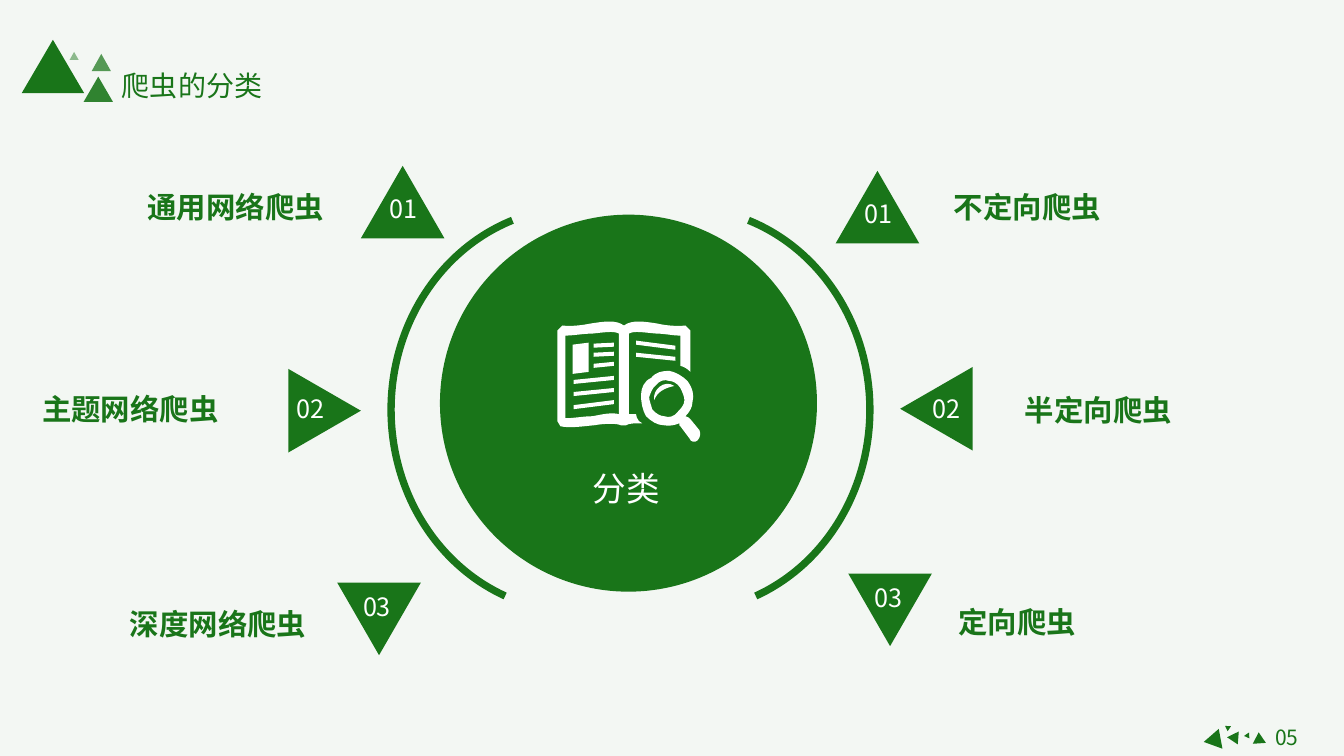
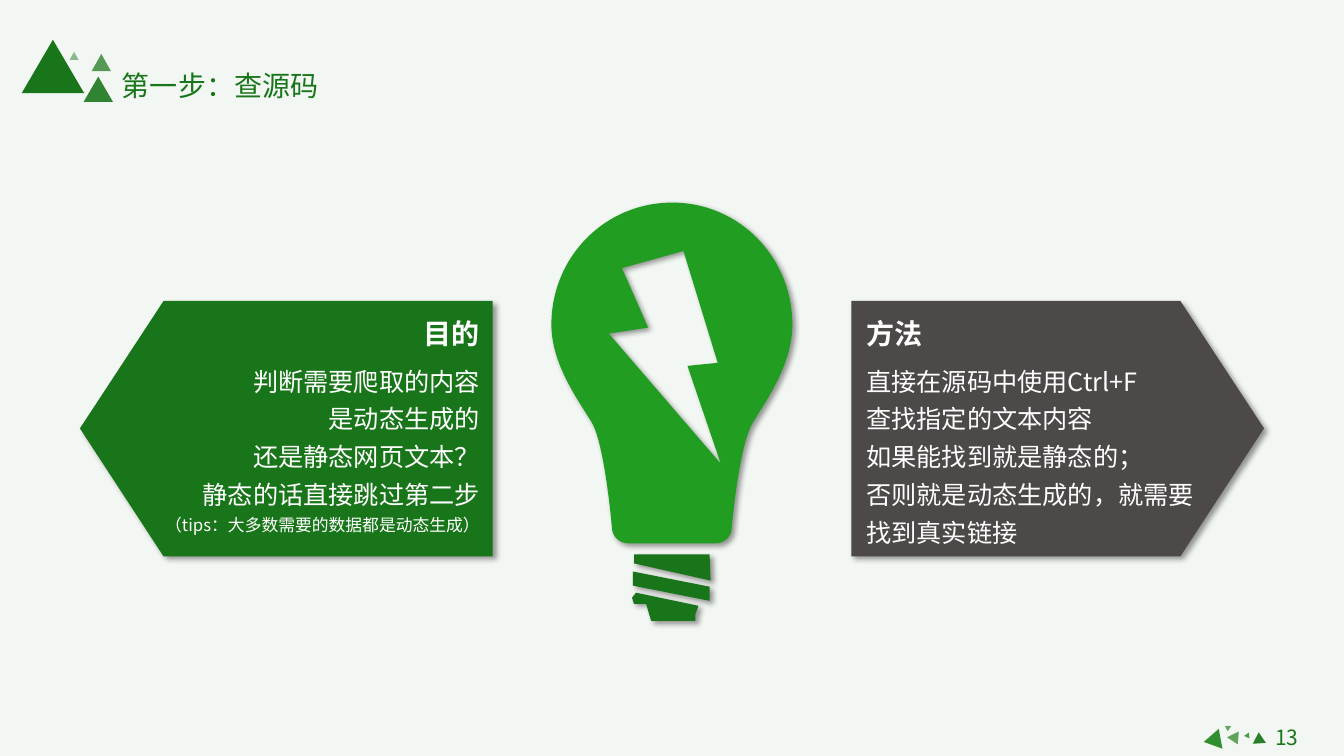
from lxml.etree import SubElement
from pptx import Presentation
from pptx.dml.color import RGBColor
from pptx.enum.shapes import MSO_SHAPE as Preset
from pptx.enum.text import MSO_ANCHOR as Anchor, MSO_AUTO_SIZE as AutoSize, PP_ALIGN as Align
from pptx.oxml.ns import qn
from pptx.util import Inches, Pt

CELL = Inches(0.1)
COLUMNS, ROWS = 133.33, 75
FONT = "Noto Sans CJK SC"
GREEN = RGBColor(0x19, 0x75, 0x19)
BRIGHT_GREEN = RGBColor(0x21, 0x9E, 0x21)
PALE_GREEN = RGBColor(0xF3, 0xF7, 0xF3)
SAGE = RGBColor(0x5E, 0xA4, 0x5A)
LEAF = RGBColor(0x30, 0x90, 0x30)
FOREST = RGBColor(0x2B, 0x7E, 0x2A)
MOSS = RGBColor(0x55, 0x95, 0x51)
GRAY = RGBColor(0x4C, 0x49, 0x48)
WHITE = RGBColor(0xFF, 0xFF, 0xFF)

HEADER_TRIANGLES = [
    (2.15, 3.95, 6.2, 5.3, 100), (8.3, 7.6, 2.9, 2.5, 89),
    (6.9, 5.15, 0.9, 0.8, 47), (9.1, 5.35, 1.9, 1.7, 72),
]
FOOTER_TRIANGLES = [
    (121.9, 72.8, 1.3, 1.1, 153.9), (119.25, 72.6, 2, 1.7, 259.5),
    (124.25, 72.65, 1.3, 1.1, 356.2), (121.45, 71.9, 0.6, 0.5, 303.5),
    (123.5, 72.8, 0.6, 0.5, 145.8),
]
NUMBER_OFFSETS = {0: (0.1, -1.4), 90: (-1.4, -2.25), 180: (-0.2, -3.2), 270: (1, -2)}
CATEGORIES = [
    ("01", 39.95, 20.05, 0, "通用网络爬虫", 13.65, 18.3),
    ("02", 32.2, 40.75, 90, "主题网络爬虫", 3.2, 38.3),
    ("03", 37.6, 61.4, 180, "深度网络爬虫", 11.9, 59.6),
    ("01", 87.05, 20.55, 0, "不定向爬虫", 93.65, 18.3),
    ("02", 92.9, 40.55, 270, "半定向爬虫", 100.7, 38.4),
    ("03", 88.3, 60.5, 180, "定向爬虫", 94.1, 59.45),
]
BOOK_COVER = [
    (55.8, 32.3), (56.6, 32.4, 57.6, 32.3, 58.6, 32.1),
    (59.9, 31.9, 61.1, 31.7, 61.9, 32.3), (62.7, 31.7, 63.9, 31.9, 65.2, 32.1),
    (66, 32.3, 67.2, 32.4, 68, 32.3), (68.5, 32.8), (68.5, 36.9),
    (68.2, 36.6, 67.9, 36.4, 67.5, 36.3), (67.5, 33.3),
    (66.7, 33.3, 65.9, 33.1, 65.1, 33.1), (63.9, 33, 62.9, 32.8, 62.4, 33.1),
    (62.4, 41.1), (62.6, 41.1, 62.7, 41.1, 63.1, 41.1),
    (63.1, 41.3, 63.2, 41.5, 63.4, 41.8), (63.6, 41.8, 63.6, 42, 63.7, 42),
    (62.9, 42, 62.4, 42, 62.1, 42.2), (61.6, 42.2),
    (61.2, 42, 60.1, 42, 58.9, 42.2), (57.8, 42.3, 56.6, 42.5, 55.6, 42.3),
    (55.3, 41.8), (55.3, 32.8),
]
LEFT_PAGE = [
    (58.8, 33.1), (57.9, 33.1, 56.9, 33.3, 56.1, 33.3), (56.1, 41.5),
    (56.9, 41.5, 57.9, 41.3, 58.8, 41.3), (59.8, 41.1, 60.7, 40.9, 61.4, 41.1),
    (61.4, 33.1), (60.9, 32.8, 59.8, 33, 58.8, 33.1),
]
PAGE_BLOCK = [(56.8, 34.2), (56.8, 37.1), (58.4, 36.9), (58.4, 34)]
TEXT_BARS = [
    (63.1, 35, 67, 35.4), (63.1, 33.8, 67, 34.3),
    (56.9, 40.2, 60.9, 39.7), (56.9, 38.9, 60.9, 38.5), (56.9, 37.7, 60.9, 37.3),
    (58.9, 36.1, 60.9, 35.9), (58.9, 35, 60.9, 34.9), (58.9, 34.1, 60.9, 34),
]
MAGNIFIER = [
    (64.6, 37.5), (63.9, 37.8, 63.6, 38.5, 63.6, 39.2),
    (63.6, 39.9, 63.7, 40.6, 64.1, 41.3), (64.6, 41.8, 65.2, 42.2, 65.9, 42.2),
    (66.4, 42.3, 66.9, 42.2, 67.4, 42), (67.4, 42.2, 67.4, 42.3, 67.5, 42.3),
    (68.4, 43.5), (68.5, 43.9, 69, 43.9, 69.2, 43.7),
    (69.5, 43.4, 69.5, 43, 69.4, 42.7), (68.5, 41.6),
    (68.4, 41.5, 68.2, 41.3, 68, 41.3), (68.4, 40.9, 68.7, 40.4, 68.7, 39.9),
    (68.9, 39.2, 68.7, 38.5, 68.2, 37.8), (67.7, 37.3, 67, 36.9, 66.4, 36.8),
    (65.7, 36.8, 65.1, 36.9, 64.6, 37.5),
]
LENS = [
    (66.4, 37.8), (65.9, 37.6, 65.4, 37.8, 65.1, 38.2),
    (64.7, 38.5, 64.6, 38.9, 64.4, 39.4), (64.4, 39.7, 64.6, 40.2, 64.7, 40.6),
    (65.1, 41.1, 65.6, 41.3, 65.9, 41.3), (66.4, 41.5, 66.9, 41.3, 67.2, 40.9),
    (67.5, 40.6, 67.9, 40.2, 67.9, 39.7), (67.9, 39.4, 67.7, 38.9, 67.5, 38.5),
    (67.2, 38, 66.7, 37.8, 66.4, 37.8),
]
LENS_GLINT = [
    (64.9, 39.7), (65.2, 38.9, 65.9, 38.5, 66.9, 38.3),
    (65.9, 37.6, 64.7, 38.7, 64.9, 39.7),
]
BULB_GLASS = [
    (66.7, 20.1), (60, 20.1, 54.7, 25.5, 54.7, 32.2),
    (54.7, 36.1, 57.3, 39.6, 58.7, 41.9), (60, 44.1, 60.7, 52.3, 60.7, 52.3),
    (60.7, 53.2, 61.4, 53.9, 62.4, 53.9), (71, 53.9),
    (71.9, 53.9, 72.6, 53.2, 72.6, 52.3), (72.6, 52.3, 73.3, 44.1, 74.7, 41.9),
    (76.1, 39.6, 78.6, 36.1, 78.6, 32.2), (78.6, 25.5, 73.3, 20.1, 66.7, 20.1),
]
LIGHTNING = [
    (60.4, 33.1), (64.3, 32.5), (61.7, 26.6), (67.8, 24.9),
    (71.2, 36), (68.2, 36.3), (71.5, 46),
]
BULB_BASE = [
    [(62.9, 55), (70.4, 55), (70.5, 57.6), (62.9, 55.9)],
    [(70.4, 59.6), (70.4, 58.2), (62.8, 56.7), (62.8, 58.1)],
    [(63.1, 58.8), (69.3, 60.1), (69, 60.9), (69, 61.6), (64.6, 61.6),
     (64.1, 59.9), (62.9, 59.9), (62.7, 59.3)],
]
METHOD_PANEL = [(117.1, 29.85), (84.45, 29.85), (84.45, 55.2), (117.1, 55.2), (125.4, 42.5)]
PURPOSE_LINES = [
    ("判断需要爬取的内容", 18), ("是动态生成的", 18), ("还是静态网页文本？", 18),
    ("静态的话直接跳过第二步", 18), ("（tips：大多数需要的数据都是动态生成）", 12),
]
METHOD_LINES = [
    ("直接在源码中使用Ctrl+F", 18), ("查找指定的文本内容", 18),
    ("如果能找到就是静态的；", 18), ("否则就是动态生成的，就需要找到真实链接", 18),
]


def cells(*counts):
    """Turn counts of grid cells into lengths."""
    return [round(count * CELL) for count in counts]


def paint(shape, color, opacity=100, shadowed=False):
    """Fill a shape without an outline, with optional opacity and shadow."""
    shape.fill.solid()
    shape.fill.fore_color.rgb = color
    shape.line.fill.background()
    shape.shadow.inherit = False
    properties = shape._element.spPr
    if opacity < 100:
        tone = properties.find(qn("a:solidFill")).find(qn("a:srgbClr"))
        SubElement(tone, qn("a:alpha"), val=str(opacity * 1000))
    if shadowed:
        shadow = SubElement(properties.find(qn("a:effectLst")), qn("a:outerShdw"),
                            blurRad=str(Pt(4)), dist=str(Pt(3)), dir="2700000",
                            algn="tl", rotWithShape="0")
        black = SubElement(shadow, qn("a:srgbClr"), val="000000")
        SubElement(black, qn("a:alpha"), val="40000")


def add_triangle(slide, left, top, width, height, color=GREEN, rotation=0, opacity=100):
    """Add a filled triangle."""
    triangle = slide.shapes.add_shape(Preset.ISOSCELES_TRIANGLE,
                                      *cells(left, top, width, height))
    triangle.rotation = rotation
    paint(triangle, color, opacity)


def bend(outline, segments):
    """Turn the lines of an outline into cubic curves where a segment has handles."""
    lines = list(outline._element.spPr.iter(qn("a:lnTo")))
    for line, segment in zip(lines, segments):
        if len(segment) == 2:
            continue
        line.tag = qn("a:cubicBezTo")
        line.remove(line[0])
        for x, y in zip(cells(*segment[::2]), cells(*segment[1::2])):
            SubElement(line, qn("a:pt"), x=str(x - outline.left), y=str(y - outline.top))


def add_outline(slide, contours, color, shadowed=False):
    """Add one filled outline whose inner contours are holes."""
    builder = None
    for contour in contours:
        start, *others = [cells(*segment[-2:]) for segment in contour]
        if builder is None:
            builder = slide.shapes.build_freeform(*start, scale=1.0)
        else:
            builder.move_to(*start)
        builder.add_line_segments(others, close=True)
    outline = builder.convert_to_shape()
    bend(outline, [segment for contour in contours for segment in contour[1:]])
    paint(outline, color, shadowed=shadowed)


def write(frame, lines, color, align=Align.LEFT, bold=False, spacing=None):
    """Write lines of text with their sizes into a text frame."""
    frame.word_wrap = True
    frame.auto_size = AutoSize.NONE
    frame.vertical_anchor = Anchor.TOP
    frame.text = "\n".join(text for text, _ in lines)
    for paragraph, (_, size) in zip(frame.paragraphs, lines):
        paragraph.alignment = align
        paragraph.line_spacing = spacing
        for run in paragraph.runs:
            run.font.size = Pt(size)
            run.font.bold = bold
            run.font.color.rgb = color
            run.font.name = FONT
            SubElement(run._r.get_or_add_rPr(), qn("a:ea"), typeface=FONT)


def add_text(slide, box, lines, color, **style):
    """Add a text box."""
    write(slide.shapes.add_textbox(*cells(*box)).text_frame, lines, color, **style)


def add_page(deck, title, number, footer_colors):
    """Add a slide with title, corner triangles and page number."""
    slide = deck.slides.add_slide(deck.slide_layouts[5])
    heading = slide.shapes.title
    heading.left, heading.top, heading.width, heading.height = cells(11.1, 6.3, 21.7, 4.4)
    write(heading.text_frame, [(title, 20)], GREEN)
    for *box, opacity in HEADER_TRIANGLES:
        add_triangle(slide, *box, opacity=opacity)
    for (*box, rotation), color in zip(FOOTER_TRIANGLES, footer_colors):
        add_triangle(slide, *box, color, rotation)
    add_text(slide, (124.25, 71.4, 6.8, 3.5), [(number, 15)], GREEN, align=Align.CENTER)
    return slide


def add_arc(slide, left, start, end):
    """Add one of the arcs around the hub."""
    arc = slide.shapes.add_shape(Preset.ARC, *cells(left, 20.6, 37, 40.1))
    arc.adjustments[0], arc.adjustments[1] = start, end
    arc.fill.background()
    arc.line.color.rgb = GREEN
    arc.line.width = Pt(5.25)
    arc.shadow.inherit = False


def add_hub(slide):
    """Add the central disc with its arcs, book and caption."""
    add_arc(slide, 49.3, 173.38, 41.26)
    add_arc(slide, 38.8, 66.74, 150.62)
    disc = slide.shapes.add_shape(Preset.OVAL, *cells(43.65, 21.3, 37.4, 37.4))
    paint(disc, GREEN)
    bars = [[(x1, y1), (x2, y2), (x2, y2 + 0.4), (x1, y1 + 0.4)]
            for x1, y1, x2, y2 in TEXT_BARS]
    book = [BOOK_COVER, LEFT_PAGE, PAGE_BLOCK, *bars, MAGNIFIER, LENS, LENS_GLINT]
    add_outline(slide, book, WHITE)
    add_text(slide, (48.8, 45.9, 26.7, 7.4), [("分类", 24)], WHITE, align=Align.CENTER)


def add_category(slide, number, x, y, rotation, label, label_left, label_top):
    """Add a numbered triangle centred at x, y and its label."""
    width, height = 8.3, 7.2
    add_triangle(slide, x - width / 2, y - height / 2, width, height, rotation=rotation)
    dx, dy = NUMBER_OFFSETS[rotation]
    add_text(slide, (x + dx - 4, y + dy, 8, 5.9), [(number, 18)], WHITE, align=Align.CENTER)
    add_text(slide, (label_left, label_top, 21, 4.5), [(label, 21)], GREEN, bold=True)


def add_panel(slide, outline, color, left, heading, lines, align):
    """Add an arrow panel with heading and body."""
    add_outline(slide, [outline], color, shadowed=True)
    add_text(slide, (left, 30.95, 34.9, 4.4), [(heading, 20)], WHITE, align=align, bold=True)
    add_text(slide, (left, 35.05, 34.9, 19.9), lines, WHITE, align=align, spacing=1.25)


def main():
    """Build and save the deck."""
    deck = Presentation()
    deck.slide_width, deck.slide_height = cells(COLUMNS, ROWS)
    backdrop = deck.slide_master.background.fill
    backdrop.solid()
    backdrop.fore_color.rgb = PALE_GREEN

    kinds = add_page(deck, "爬虫的分类", "05", [GREEN] * len(FOOTER_TRIANGLES))
    add_hub(kinds)
    for category in CATEGORIES:
        add_category(kinds, *category)

    step = add_page(deck, "第一步：查源码", "13", [SAGE, LEAF, FOREST, SAGE, MOSS])
    purpose_panel = [(COLUMNS - x, y) for x, y in METHOD_PANEL]
    add_panel(step, purpose_panel, GREEN, 13.7, "目的", PURPOSE_LINES, Align.RIGHT)
    add_panel(step, METHOD_PANEL, GRAY, 84.95, "方法", METHOD_LINES, Align.LEFT)
    add_outline(step, [BULB_GLASS, LIGHTNING], BRIGHT_GREEN, shadowed=True)
    for thread in BULB_BASE:
        add_outline(step, [thread], GREEN, shadowed=True)
    deck.save("out.pptx")


if __name__ == "__main__":
    main()
